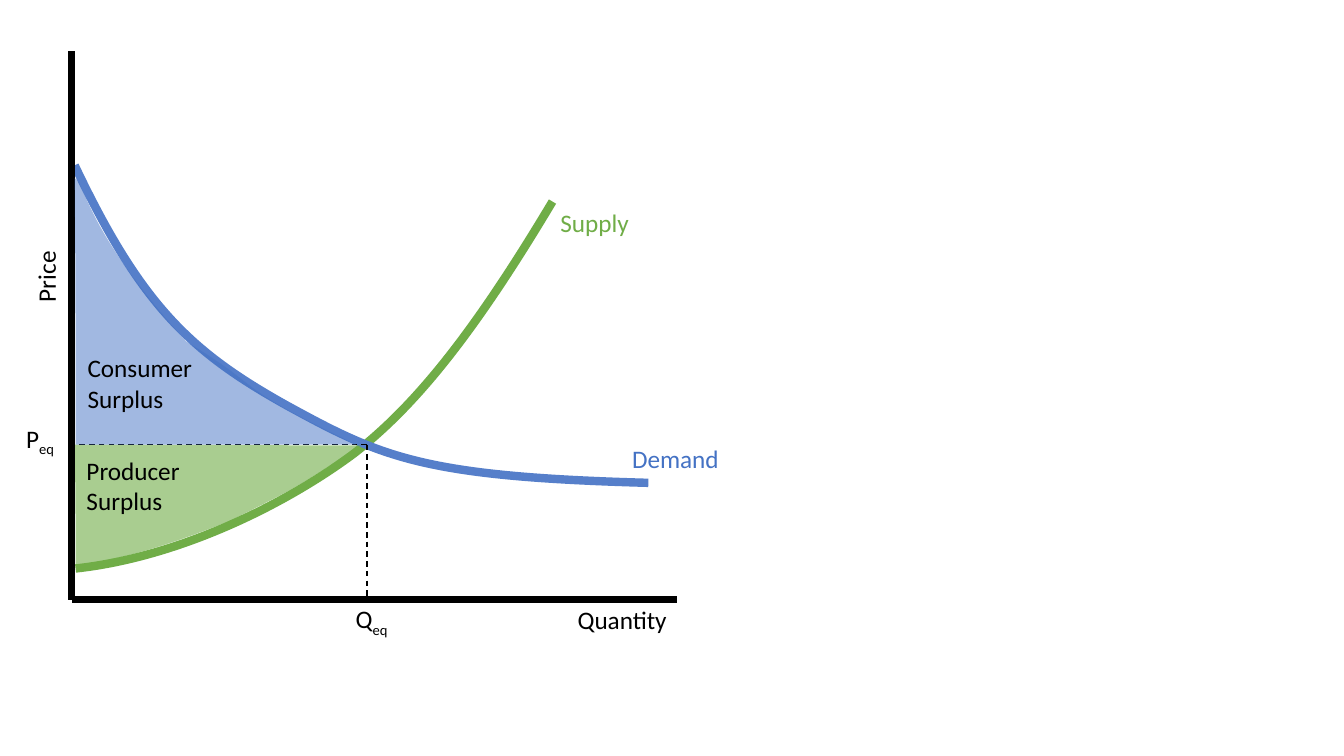
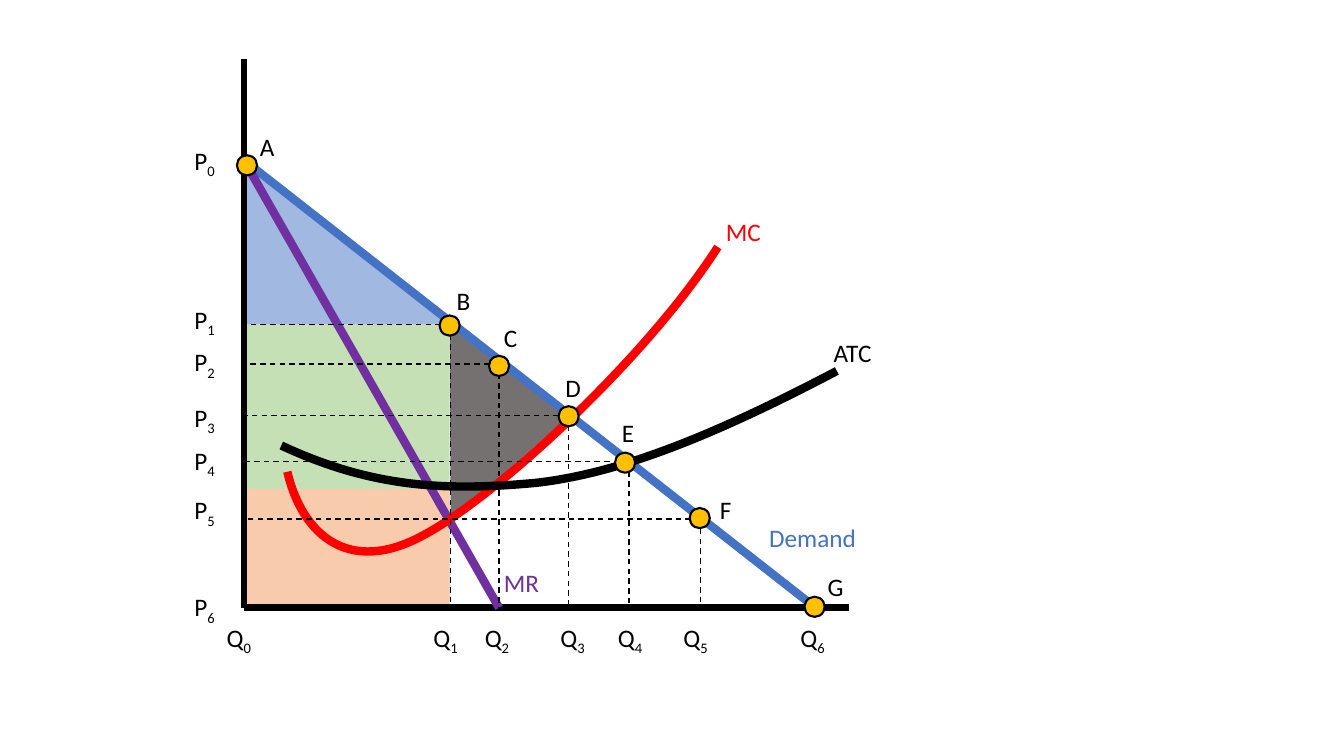
from collections import namedtuple
from itertools import chain

from lxml.etree import SubElement
from pptx import Presentation
from pptx.dml.color import RGBColor
from pptx.enum.dml import MSO_LINE
from pptx.enum.shapes import MSO_CONNECTOR, MSO_SHAPE
from pptx.enum.text import MSO_AUTO_SIZE
from pptx.oxml.ns import qn
from pptx.util import Inches, Pt

SLIDE_WIDTH, SLIDE_HEIGHT = Inches(13.33), Inches(7.5)
ROWS = 75  # square grid cells, counted along the slide's height
CELL = SLIDE_HEIGHT / ROWS

COLORS = {
    "black": "000000",
    "blue": "4472C4",
    "demand curve": "567FCA",
    "green": "70AD47",
    "red": "FF0000",
    "purple": "7030A0",
    "gold": "FFC000",
    "consumer surplus": "A1B8E1",
    "profit": "C5E0B4",
    "cost": "F8CBAD",
    "deadweight loss": "767171",
}
FONT = "Calibri"
TEXT_SIZE = 18
AXIS_WIDTH, CURVE_WIDTH, GUIDE_WIDTH, DOT_OUTLINE = 4.75, 6, 1, 1.5
AXIS_HEIGHT, AXIS_LENGTH = 54.4, 60
LABEL_HEIGHT, SHORT_LABEL, LONG_LABEL = 4, 5.5, 12.1
DOT_SIZE = 2

# guide is the corner where the dashed lines meet, or None on an axis
MarketPoint = namedtuple("MarketPoint", "letter center label price_row quantity_column guide")
MARKET_POINTS = [
    MarketPoint("A", (24.5, 16.4), (24.8, 12.5), 13.9, 21.5, None),
    MarketPoint("B", (44.6, 32.3), (44.3, 27.8), 29.7, 42, (44.7, 32.2)),
    MarketPoint("C", (49.5, 36.3), (49, 31.5), 33.9, 47.1, (49.5, 36.1)),
    MarketPoint("D", (56.4, 41.3), (55.1, 36.4), 39.4, 54.6, (56.4, 41.2)),
    MarketPoint("E", (62, 45.9), (60.7, 40.9), 43.7, 60.3, (62.4, 45.8)),
    MarketPoint("F", (69.4, 51.4), (70.4, 48.5), 48.6, 66.8, (69.5, 51.5)),
    MarketPoint("G", (80.8, 60.2), (81.1, 56.2), 58.2, 78.4, None),
]


def cells(*counts):
    return [round(count * CELL) for count in counts]


def color(name):
    return RGBColor.from_string(COLORS[name])


def style_line(line, color_name, width):
    line.color.rgb = color(color_name)
    line.width = Pt(width)


def paint(shape, color_name, opacity=100):
    """Fill a shape, optionally see-through; opacity is a percentage."""
    shape.fill.solid()
    shape.fill.fore_color.rgb = color(color_name)
    if opacity < 100:
        rgb = shape.element.xpath("./p:spPr/a:solidFill/a:srgbClr")[0]
        SubElement(rgb, qn("a:alpha"), val=str(opacity * 1000))


def add_label(slide, text, left, top, width=SHORT_LABEL, height=LABEL_HEIGHT,
              subscript="", color_name="black", rotation=0):
    box = slide.shapes.add_textbox(*cells(left, top, width, height))
    box.rotation = rotation
    frame = box.text_frame
    frame.text = text
    frame.word_wrap = True
    frame.auto_size = MSO_AUTO_SIZE.SHAPE_TO_FIT_TEXT
    paragraph = frame.paragraphs[0]
    if subscript:
        run = paragraph.add_run()
        run.text = subscript
        run.font._element.set("baseline", "-25000")
    for run in paragraph.runs:
        run.font.name = FONT
        run.font.size = Pt(TEXT_SIZE)
        run.font.color.rgb = color(color_name)


def add_line(slide, start, end, color_name="black", width=AXIS_WIDTH, dashed=False):
    connector = slide.shapes.add_connector(MSO_CONNECTOR.STRAIGHT, *cells(*start, *end))
    style_line(connector.line, color_name, width)
    if dashed:
        connector.line.dash_style = MSO_LINE.DASH
    SubElement(connector.element.spPr, qn("a:effectLst"))


def add_axes(slide, origin):
    column, row = origin
    add_line(slide, (column, row - AXIS_HEIGHT), origin)
    add_line(slide, (column + AXIS_LENGTH, row), origin)


def add_guides(slide, origin, corner):
    """Dashed lines from a corner to the price axis and the quantity axis."""
    for foot in ((origin[0], corner[1]), (corner[0], origin[1])):
        add_line(slide, corner, foot, width=GUIDE_WIDTH, dashed=True)


def add_outline(slide, start, steps, closed=False):
    """Freeform whose steps hold one point (a line) or three (a Bézier curve)."""
    points = [cells(*point) for point in chain.from_iterable(steps)]
    builder = slide.shapes.build_freeform(*cells(*start))
    builder.add_line_segments(points, close=closed)
    shape = builder.convert_to_shape()
    shape.shadow.inherit = False
    nodes = iter(shape.element.xpath(".//a:lnTo"))
    for step in steps:
        first, *others = [next(nodes) for _ in step]
        if others:
            first.tag = qn("a:cubicBezTo")
        for node in others:
            first.append(node[0])
            node.getparent().remove(node)
    return shape


def add_curve(slide, start, steps, color_name):
    curve = add_outline(slide, start, steps)
    curve.fill.background()
    style_line(curve.line, color_name, CURVE_WIDTH)


def add_area(slide, start, steps, color_name, opacity=100):
    area = add_outline(slide, start, steps, closed=True)
    paint(area, color_name, opacity)
    area.line.fill.background()


def add_preset(slide, kind, color_name, left, top, width, height):
    shape = slide.shapes.add_shape(kind, *cells(left, top, width, height))
    shape.shadow.inherit = False
    paint(shape, color_name)
    shape.line.fill.background()
    return shape


def add_dot(slide, center):
    left, top = (position - DOT_SIZE / 2 for position in center)
    dot = add_preset(slide, MSO_SHAPE.OVAL, "gold", left, top, DOT_SIZE, DOT_SIZE)
    style_line(dot.line, "black", DOT_OUTLINE)


def build_equilibrium(slide):
    origin, equilibrium = (7.1, 59.5), (36.4, 44.1)
    add_curve(slide, (7.5, 56.4), [
        ((17.6, 55.3), (28.1, 50.2), (35.1, 45)),
        ((41.3, 40.2), (47.1, 32.9), (54.8, 20)),
    ], "green")
    add_curve(slide, (7.4, 16.4), [
        ((14, 30.3), (18.9, 34.9), (28.4, 40.2)),
        ((37.9, 45.4), (42, 47.3), (64.3, 47.9)),
    ], "demand curve")
    add_area(slide, (7.4, 44.1), [
        ((7.5, 48.2), (7.5, 52.1), (7.5, 56.2)),
        ((13.6, 55.1), (17.2, 53.9), (23, 51.6)),
        ((29.4, 48.3), (28.6, 48.9), (35.8, 44.2)),
    ], "green", 60)
    add_guides(slide, origin, equilibrium)
    add_axes(slide, origin)
    add_area(slide, (7.4, 17.7), [
        ((7.5, 26.5), (7.5, 35.3), (7.5, 44.1)),
        ((35.3, 44.1),),
        ((22.4, 37.9), (26.9, 39), (18.5, 33.9)),
        ((8.4, 22.9), (8.3, 17.7), (7.4, 17.7)),
    ], "blue", 50)

    add_label(slide, "P", 1.6, 41.5, subscript="eq")
    add_label(slide, "Q", 34.3, 59.4, subscript="eq")
    add_label(slide, "Price", 0.1, 24.5, 8.9, rotation=270)
    add_label(slide, "Quantity", 56.3, 59.5, 13.9)
    add_label(slide, "Demand", 61.7, 43.5, LONG_LABEL, color_name="blue")
    add_label(slide, "Supply", 54.6, 20.1, LONG_LABEL, color_name="green")
    add_label(slide, "Consumer Surplus", 7.7, 34.5, 15.6, 7.1)
    add_label(slide, "Producer Surplus", 7.6, 44.7, 15.6, 7.1)


def build_monopoly(slide):
    origin, demand_start = (24.2, 60.3), (24.2, 15.9)
    add_area(slide, (56.2, 41.5), [
        ((50.1, 46.9),),
        ((46.7, 49.8), (46.5, 50), (44.7, 51.3)),
        ((44.6, 32.4),),
        ((48.4, 35.3), (52.6, 38.5), (56.2, 41.5)),
    ], "deadweight loss")
    add_preset(slide, MSO_SHAPE.RIGHT_TRIANGLE, "consumer surplus", 24.4, 16.6, 20, 15.6)
    add_preset(slide, MSO_SHAPE.RECTANGLE, "profit", 24.5, 32.2, 20.1, 27.5)
    add_preset(slide, MSO_SHAPE.RECTANGLE, "cost", 24.5, 48.5, 20.1, 11.6)
    add_axes(slide, origin)
    add_line(slide, demand_start, (80.9, 60.3), "blue", CURVE_WIDTH)
    add_line(slide, demand_start, (49.5, 60.3), "purple", CURVE_WIDTH)
    add_curve(slide, (28.5, 46.8), [
        ((30, 53.2), (34.7, 57), (41.8, 53.2)),
        ((49, 49.5), (64.1, 35.6), (71.2, 24.5)),
    ], "red")
    add_curve(slide, (27.9, 44.2), [
        ((37.1, 48.5), (44.5, 48.7), (53.2, 47.9)),
        ((60.9, 47), (69.7, 43.8), (83, 36.8)),
    ], "black")

    for point in MARKET_POINTS:
        if point.guide:
            add_guides(slide, origin, point.guide)
    for number, point in enumerate(MARKET_POINTS):
        add_dot(slide, point.center)
        add_label(slide, point.letter, *point.label, 3.9)
        add_label(slide, "P", 18.3, point.price_row, subscript=str(number))
        add_label(slide, "Q", point.quantity_column, 61.2, subscript=str(number))

    add_label(slide, "MR", 49, 55.8, color_name="purple")
    add_label(slide, "MC", 71, 21, color_name="red")
    add_label(slide, "ATC", 81.7, 33, 6.7)
    add_label(slide, "Demand", 75.3, 51.3, LONG_LABEL, color_name="blue")


def main():
    presentation = Presentation()
    presentation.slide_width, presentation.slide_height = SLIDE_WIDTH, SLIDE_HEIGHT
    blank_layout = presentation.slide_layouts[6]
    for build in (build_equilibrium, build_monopoly):
        build(presentation.slides.add_slide(blank_layout))
    presentation.save("out.pptx")


if __name__ == "__main__":
    main()
